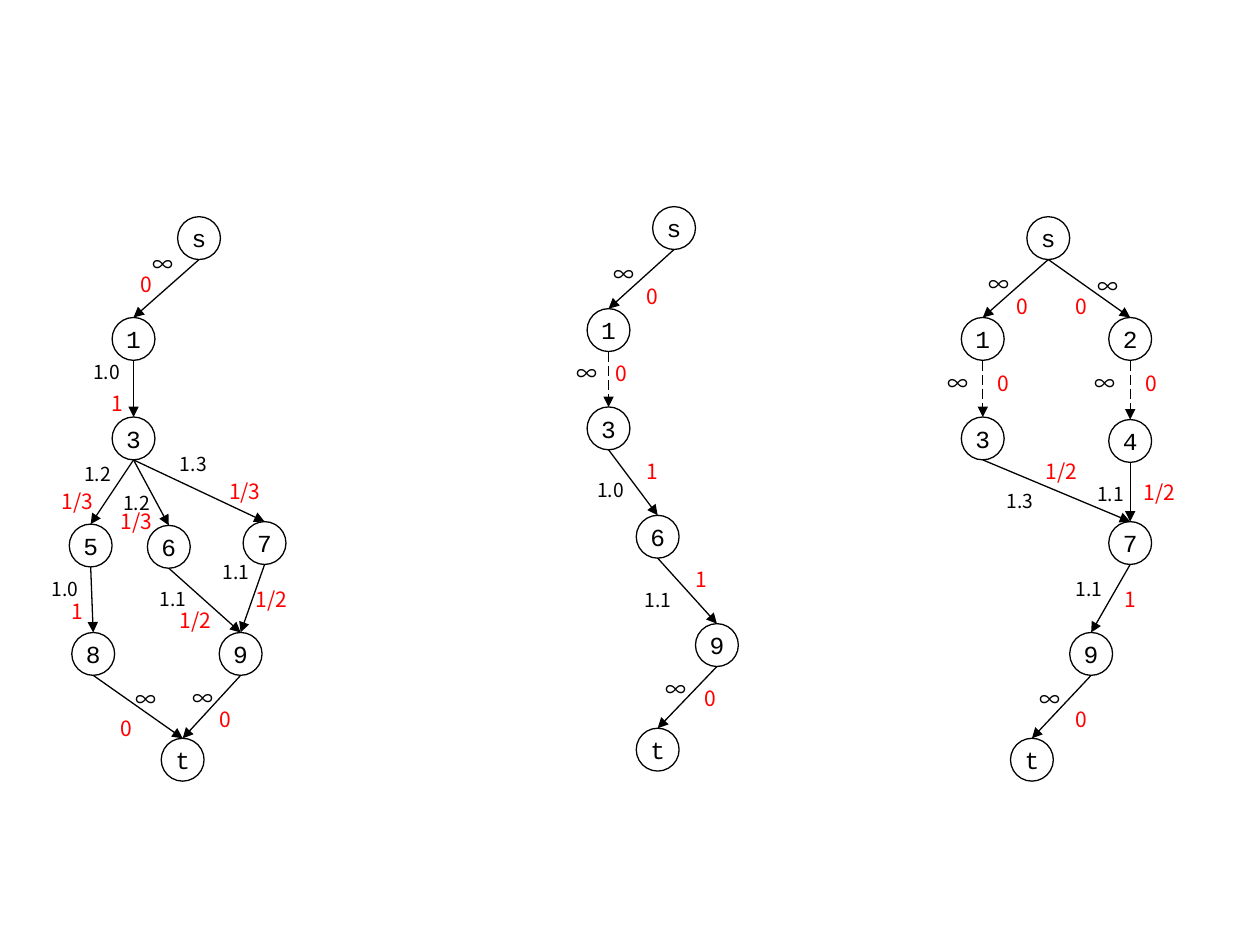
from lxml import etree
from pptx import Presentation
from pptx.dml.color import RGBColor
from pptx.enum.dml import MSO_LINE
from pptx.enum.shapes import MSO_CONNECTOR, MSO_SHAPE
from pptx.enum.text import MSO_ANCHOR, MSO_AUTO_SIZE, PP_ALIGN
from pptx.oxml.ns import qn
from pptx.util import Pt

STRAIGHT = MSO_CONNECTOR.STRAIGHT
ELLIPSE = MSO_SHAPE.OVAL
LONG_DASH = MSO_LINE.LONG_DASH
CENTER = PP_ALIGN.CENTER
MIDDLE = MSO_ANCHOR.MIDDLE
FIT_TEXT = MSO_AUTO_SIZE.SHAPE_TO_FIT_TEXT

PX = 9144  # 100 px to the inch
NODE = 34  # node diameter

THEME = {
    "ink": RGBColor(0, 0, 0),
    "flow": RGBColor(255, 0, 0),
    "node_font": "Courier New",
    "label_font": "Noto Sans CJK JP",
    "node_size": Pt(14),
    "number_size": Pt(11),
    "label_size": Pt(12),
    "line_width": Pt(0.75),
}
LABEL_WIDTHS = {"∞": 37, "0": 31, "1": 31}

# Each graph: node -> (left, top), then edges as
# (from, to, capacity, its left and top, flow, its left and top)
GRAPHS = [
    (
        {"s": (141, 172), "1": (89, 252), "3": (89, 331), "5": (55, 416),
         "6": (117, 417), "7": (193, 414), "8": (57, 502), "9": (174, 502),
         "t": (128, 586)},
        [
            ("s", "1", "∞", (111, 195), "0", (102, 211)),
            ("1", "3", "1.0", (64, 281), "1", (79, 305)),
            ("3", "5", "1.2", (57, 362), "1/3", (39, 383)),
            ("3", "6", "1.2", (88, 385), "1/3", (86, 399)),
            ("3", "7", "1.3", (133, 354), "1/3", (172, 375)),
            ("5", "8", "1.0", (31, 453), "1", (47, 470)),
            ("6", "9", "1.1", (117, 461), "1/2", (133, 477)),
            ("7", "9", "1.1", (167, 440), "1/2", (193, 461)),
            ("8", "t", "∞", (98, 540), "0", (86, 563)),
            ("9", "t", "∞", (143, 539), "0", (164, 556)),
        ],
    ),
    (
        {"s": (518, 164), "1": (466, 245), "3": (466, 323), "6": (505, 409),
         "9": (552, 495), "t": (505, 578)},
        [
            ("s", "1", "∞", (477, 203), "0", (503, 220)),
            ("1", "3", "∞", (448, 281), "0", (479, 281)),
            ("3", "6", "1.0", (464, 375), "1", (503, 359)),
            ("6", "9", "1.1", (502, 462), "1", (542, 445)),
            ("9", "t", "∞", (518, 532), "0", (549, 539)),
        ],
    ),
    (
        {"s": (815, 172), "1": (763, 252), "2": (880, 252), "3": (763, 331),
         "4": (880, 333), "7": (880, 414), "9": (849, 502), "t": (802, 586)},
        [
            ("s", "1", "∞", (775, 211), "0", (797, 228)),
            ("s", "2", "∞", (861, 212), "0", (844, 228)),
            ("1", "3", "∞", (742, 289), "0", (782, 289)),
            ("2", "4", "∞", (859, 289), "0", (899, 289)),
            ("3", "7", "1.3", (789, 383), "1/2", (820, 359)),
            ("4", "7", "1.1", (861, 378), "1/2", (898, 376)),
            ("7", "9", "1.1", (844, 453), "1", (883, 461)),
            ("9", "t", "∞", (815, 540), "0", (844, 556)),
        ],
    ),
]


def write(shape, text, font_name, size, color):
    """Fill a shape with one unwrapped line of text."""
    shape.text_frame.word_wrap = False
    paragraph = shape.text_frame.paragraphs[0]
    paragraph.text = text
    font = paragraph.font
    font.name, font.size, font.color.rgb = font_name, size, color
    # Symbols such as ∞ take the East Asian face
    properties = paragraph._p.pPr.find(qn("a:defRPr"))
    etree.SubElement(properties, qn("a:ea"), typeface=font_name)
    return paragraph


def add_label(text, position, color):
    """Place a capacity or flow value beside its edge."""
    is_number = "." in text
    width = 45 if is_number else LABEL_WIDTHS.get(text, 49)
    height = 29 if is_number else 30
    left, top = position
    label = slide.shapes.add_textbox(left * PX, top * PX, width * PX, height * PX)
    label.text_frame.auto_size = FIT_TEXT
    size = THEME["number_size"] if is_number else THEME["label_size"]
    write(label, text, THEME["label_font"], size, color)


presentation = Presentation()
presentation.slide_width = 1000 * PX
presentation.slide_height = 750 * PX
slide = presentation.slides.add_slide(presentation.slide_layouts[6])

for nodes, edges in GRAPHS:
    # Nodes
    for name, (left, top) in nodes.items():
        node = slide.shapes.add_shape(ELLIPSE, left * PX, top * PX, NODE * PX, NODE * PX)
        node.shadow.inherit = False
        node.fill.background()
        node.line.color.rgb = THEME["ink"]
        node.line.width = THEME["line_width"]
        node.text_frame.vertical_anchor = MIDDLE
        paragraph = write(node, name, THEME["node_font"], THEME["node_size"], THEME["ink"])
        paragraph.alignment = CENTER

    for start, end, capacity, capacity_at, flow, flow_at in edges:
        # Arrow from the bottom of one node to the top of the next
        start_left, start_top = nodes[start]
        end_left, end_top = nodes[end]
        arrow = slide.shapes.add_connector(
            STRAIGHT,
            (start_left + NODE // 2) * PX, (start_top + NODE) * PX,
            (end_left + NODE // 2) * PX, end_top * PX)
        arrow.line.color.rgb = THEME["ink"]
        arrow.line.width = THEME["line_width"]
        # Unlimited edges between inner nodes are dashed
        if capacity == "∞" and start != "s" and end != "t":
            arrow.line.dash_style = LONG_DASH
        etree.SubElement(arrow.line._get_or_add_ln(), qn("a:tailEnd"), type="triangle")
        etree.SubElement(arrow._element.spPr, qn("a:effectLst"))

        # Capacity and flow
        add_label(capacity, capacity_at, THEME["ink"])
        add_label(flow, flow_at, THEME["flow"])

presentation.save("out.pptx")
